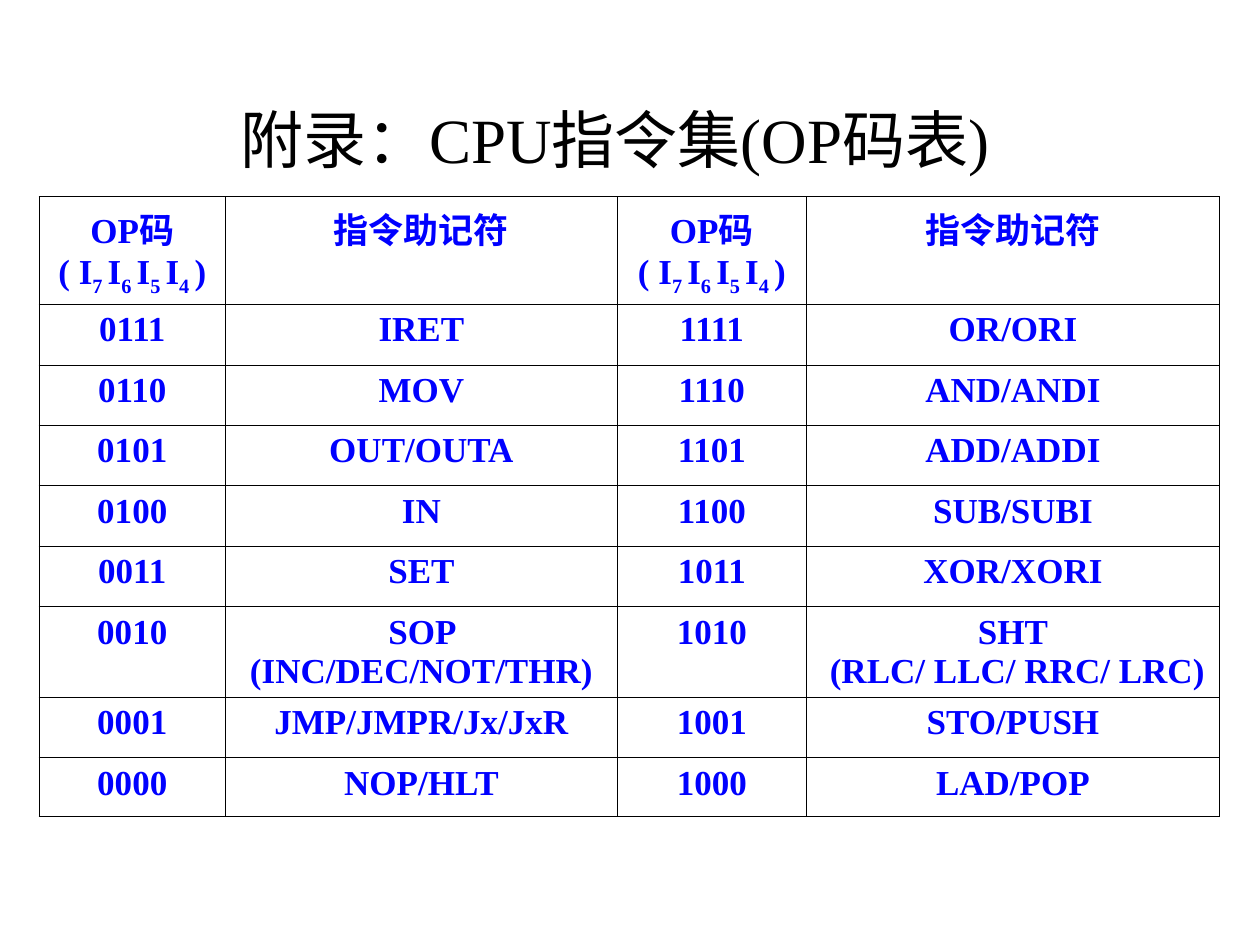
from dataclasses import dataclass

from lxml import etree
from pptx import Presentation
from pptx import util as u
from pptx.dml.color import RGBColor
from pptx.enum import text
from pptx.oxml import ns

BLACK = RGBColor(0x00, 0x00, 0x00)
BLUE = RGBColor(0x00, 0x00, 0xFF)
FONT = "Times New Roman"
COLS = (1.48, 3.11, 1.5, 3.28)
ROWS = (0.71, 0.48, 0.48, 0.48, 0.48, 0.48, 0.67, 0.48, 0.47)


@dataclass(frozen=True)
class Run:
    text: str
    sub: bool = False


@dataclass(frozen=True)
class Style:
    size: int
    color: RGBColor
    bold: bool


Line = list[Run]
HEAD = Style(36, BLACK, False)
BODY = Style(20, BLUE, True)

# Header: the opcode is held in bits 7 to 4
BITS = [Run("( ")]
for bit in range(7, 3, -1):
    BITS += [Run("I"), Run(f"{bit} ", sub=True)]
BITS.append(Run(")"))
TOP = [[[Run("OP码")], BITS], [[Run("指令助记符")]]] * 2

# Mnemonics for opcodes 7 to 0 and 15 to 8, one tuple per row
NAMES = (
    ("IRET", "OR/ORI"),
    ("MOV", "AND/ANDI"),
    ("OUT/OUTA", "ADD/ADDI"),
    ("IN", "SUB/SUBI"),
    ("SET", "XOR/XORI"),
    ("SOP (INC/DEC/NOT/THR)", "SHT\n (RLC/ LLC/ RRC/ LRC)"),
    ("JMP/JMPR/Jx/JxR", "STO/PUSH"),
    ("NOP/HLT", "LAD/POP"),
)


def plain(words: str) -> list[Line]:
    return [[Run(part)] for part in words.split("\n")]


def write(frame, lines: list[Line], style: Style) -> None:
    """Write centred lines, run by run."""
    for i, line in enumerate(lines):
        para = frame.add_paragraph() if i else frame.paragraphs[0]
        para.alignment = text.PP_ALIGN.CENTER
        for item in line:
            run = para.add_run()
            run.text = item.text
            font = run.font
            font.name, font.size = FONT, u.Pt(style.size)
            font.bold, font.color.rgb = style.bold, style.color
            if item.sub:
                run._r.get_or_add_rPr().set("baseline", "-25000")


def border(cell) -> None:
    """Put a thin black line on all four sides."""
    props = cell._tc.get_or_add_tcPr()
    for i, side in enumerate(("lnL", "lnR", "lnT", "lnB")):
        line = etree.Element(ns.qn(f"a:{side}"), w=str(u.Pt(0.45)))
        fill = etree.SubElement(line, ns.qn("a:solidFill"))
        etree.SubElement(fill, ns.qn("a:srgbClr"), val=str(BLACK))
        props.insert(i, line)


def fill_cell(cell, lines: list[Line]) -> None:
    cell.margin_left = cell.margin_right = u.Inches(0.08)
    cell.margin_top = cell.margin_bottom = u.Inches(0.05)
    cell.fill.background()
    border(cell)
    write(cell.text_frame, lines, BODY)


def add_title(slide) -> None:
    title = slide.shapes.title
    title.left, title.top = u.Inches(0.63), u.Inches(0.7)
    title.width, title.height = u.Inches(8.5), u.Inches(0.8)
    title.text_frame.vertical_anchor = text.MSO_ANCHOR.MIDDLE
    write(title.text_frame, plain("附录：CPU指令集(OP码表)"), HEAD)


def add_codes(slide) -> None:
    table = slide.shapes.add_table(
        len(ROWS), len(COLS), u.Inches(0.31), u.Inches(1.56),
        u.Inches(sum(COLS)), u.Inches(sum(ROWS))).table
    table.first_row = table.horz_banding = False
    for col, width in zip(table.columns, COLS):
        col.width = u.Inches(width)
    for row, height in zip(table.rows, ROWS):
        row.height = u.Inches(height)

    grid = [TOP]
    for i, (low, high) in enumerate(NAMES):
        words = (f"{7 - i:04b}", low, f"{15 - i:04b}", high)
        grid.append([plain(word) for word in words])
    for row, cells in zip(table.rows, grid):
        for cell, lines in zip(row.cells, cells):
            fill_cell(cell, lines)


def main() -> None:
    deck = Presentation()
    deck.slide_width, deck.slide_height = u.Inches(10), u.Inches(7.5)
    slide = deck.slides.add_slide(deck.slide_layouts[5])
    add_title(slide)
    add_codes(slide)
    deck.save("out.pptx")


if __name__ == "__main__":
    main()
